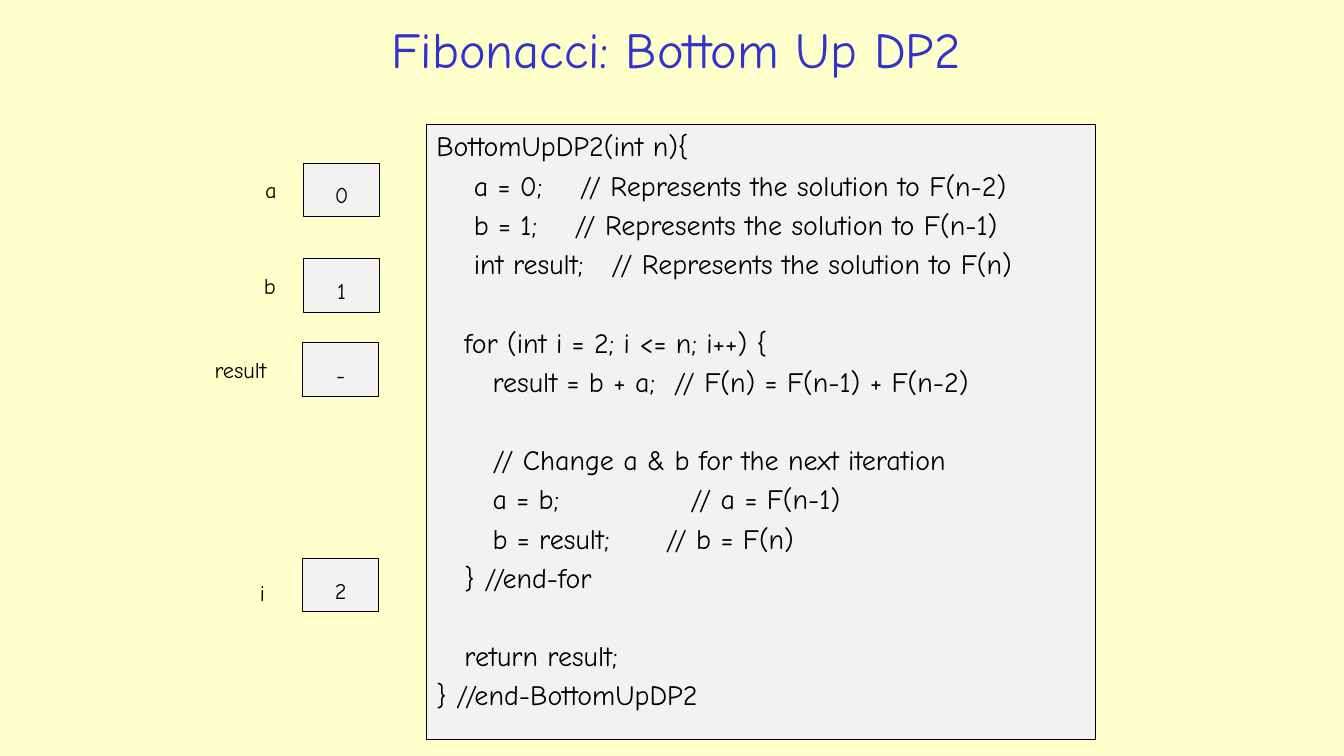
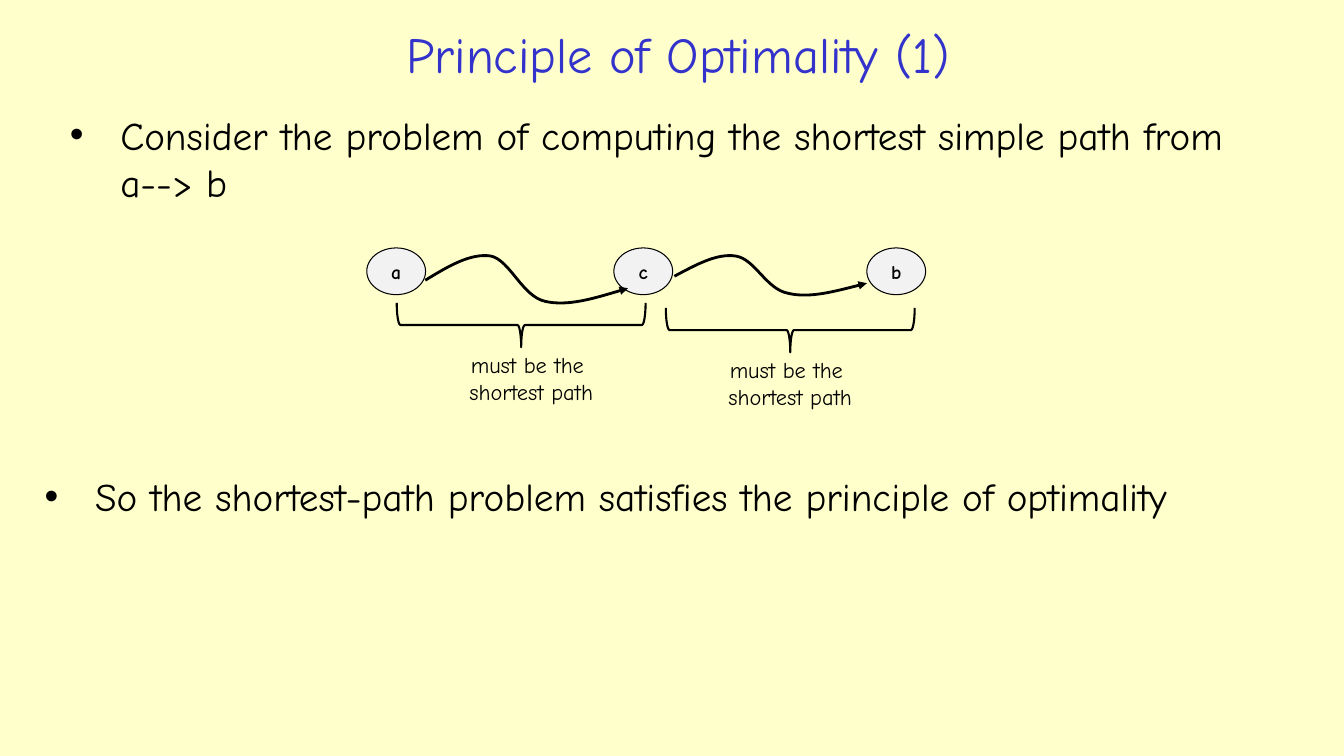
from pptx import Presentation
from pptx.dml.color import RGBColor
from pptx.enum.shapes import MSO_SHAPE as Shape
from pptx.enum.text import MSO_ANCHOR as Anchor, MSO_AUTO_SIZE as AutoSize, PP_ALIGN as Align
from pptx.oxml import parse_xml
from pptx.oxml.ns import nsdecls, qn
from pptx.util import Pt

CREAM = RGBColor(0xFF, 0xFF, 0xCC)
BLUE = RGBColor(0x33, 0x33, 0xCC)
BLACK = RGBColor(0, 0, 0)
GREY = RGBColor(0xF2, 0xF2, 0xF2)

TITLE = {"size": Pt(36), "color": BLUE, "para": {"alignment": Align.CENTER},
         "frame": {"vertical_anchor": Anchor.MIDDLE, "auto_size": AutoSize.NONE}}
BULLET = {"size": Pt(28), "frame": {"vertical_anchor": Anchor.TOP, "auto_size": AutoSize.NONE},
          "para": {"space_before": Pt(0)}}
CODE = {"size": Pt(20), "frame": {"vertical_anchor": Anchor.TOP, "word_wrap": True},
        "para": {"alignment": Align.LEFT}}
VALUE = {"size": Pt(16), "frame": {"vertical_anchor": Anchor.TOP},
         "para": {"alignment": Align.CENTER, "line_spacing": 1.5}}
NODE = {"size": Pt(14), "bold": True, "frame": {"vertical_anchor": Anchor.TOP},
        "para": {"alignment": Align.CENTER}}
LABEL = {"size": Pt(16), "frame": {"word_wrap": False, "auto_size": AutoSize.SHAPE_TO_FIT_TEXT}}
CAPTION = {**LABEL, "para": {"alignment": Align.CENTER}}


def write(box, lines, style):
    frame = box.text_frame
    for name, value in style["frame"].items():
        setattr(frame, name, value)
    for index, line in enumerate(lines):
        para = frame.paragraphs[0] if index == 0 else frame.add_paragraph()
        for name, value in style.get("para", {}).items():
            setattr(para, name, value)
        span = para.add_run()
        span.text = line
        font = {"name": "Comic Neue", "size": style["size"], "bold": style.get("bold", False)}
        for name, value in font.items():
            setattr(span.font, name, value)
        span.font.color.rgb = style.get("color", BLACK)


def outline(shape, width, fill=None):
    shape.shadow.inherit = False
    if fill is None:
        shape.fill.background()
    else:
        shape.fill.solid()
        shape.fill.fore_color.rgb = fill
    shape.line.color.rgb = BLACK
    shape.line.width = Pt(width)


deck = Presentation()
deck.slide_width, deck.slide_height = Pt(960), Pt(540)
background = deck.slide_master.background.fill
background.solid()
background.fore_color.rgb = CREAM

pages = []
for layout, heading, left, top, width in [
    (5, "Fibonacci: Bottom Up DP2", 139.5, 7, 687),
    (3, "Principle of Optimality (1)", 120, 11, 729),
]:
    page = deck.slides.add_slide(deck.slide_layouts[layout])
    title = page.shapes.title
    title.left, title.top, title.width, title.height = Pt(left), Pt(top), Pt(width), Pt(54.7)
    write(title, [heading], TITLE)
    pages.append(page)
code_page, path_page = pages

for name, value, label_left, label_top, label_width, box_left, box_top in [
    ("a", "0", 182.2, 122.4, 23, 216.7, 116.6),
    ("b", "1", 181.4, 190.8, 24.5, 216.7, 185),
    ("result", "-", 146.2, 250.6, 59.8, 216, 244.8),
    ("i", "2", 178.6, 410.4, 18.7, 216, 398.9),
]:
    box = code_page.shapes.add_shape(Shape.RECTANGLE, Pt(box_left), Pt(box_top), Pt(54.7), Pt(38.2))
    outline(box, 0.75, GREY)
    write(box, [value], VALUE)
    label = code_page.shapes.add_textbox(Pt(label_left), Pt(label_top), Pt(label_width), Pt(26.6))
    write(label, [name], LABEL)

code_blocks = [
    ["BottomUpDP2(int n){",
     "    a = 0;    // Represents the solution to F(n-2)",
     "    b = 1;    // Represents the solution to F(n-1)",
     "    int result;   // Represents the solution to F(n)"],
    ["   for (int i = 2; i <= n; i++) {",
     "      result = b + a;  // F(n) = F(n-1) + F(n-2)"],
    ["      // Change a & b for the next iteration",
     "      a = b;              // a = F(n-1)",
     "      b = result;      // b = F(n)",
     "   } //end-for"],
    ["   return result;",
     "} //end-BottomUpDP2"],
]
code_box = code_page.shapes.add_shape(Shape.RECTANGLE, Pt(304.6), Pt(88.6), Pt(478), Pt(440))
outline(code_box, 0.75, GREY)
write(code_box, [line for block in code_blocks for line in block], CODE)
gaps = [32 if index == 0 else 4 for block in code_blocks for index in range(len(block))]
gaps[0] = 0
for para, gap in zip(code_box.text_frame.paragraphs, gaps):
    para.space_before = Pt(gap)

for index, left, top, width, text in [
    (1, 38.2, 75.6, 888.5, "Consider the problem of computing the shortest simple path from a--> b"),
    (2, 20.2, 334, 922.3, "So the shortest-path problem satisfies the principle of optimality"),
]:
    body = path_page.placeholders[index]
    body.left, body.top, body.width, body.height = Pt(left), Pt(top), Pt(width), Pt(82.8)
    write(body, [text], BULLET)
    properties = body.text_frame.paragraphs[0]._p.get_or_add_pPr()
    properties.set("marL", str(Pt(40.5)))
    properties.set("indent", str(Pt(-36)))

for name, left in [("a", 262), ("c", 438.5), ("b", 619.2)]:
    node = path_page.shapes.add_shape(Shape.OVAL, Pt(left), Pt(177.1), Pt(42), Pt(33.4))
    outline(node, 0.75, GREY)
    write(node, [name], NODE)

for start, *points in [
    [(303.8, 200.2), (320.4, 190.1), (336.2, 180.7), (350.6, 182.9), (364.3, 185.8), (373, 211.7),
     (389.5, 215.3), (405.4, 218.9), (427, 212.4), (448.6, 205.9)],
    [(481.7, 197.3), (496.8, 189.4), (511.9, 180.7), (525.6, 182.9), (539.3, 185), (547.2, 206.6),
     (563, 209.5), (578.2, 213.1), (599, 207.4), (619.2, 202.3)],
]:
    builder = path_page.shapes.build_freeform(Pt(start[0]), Pt(start[1]))
    builder.add_line_segments([(Pt(x), Pt(y)) for x, y in points], close=False)
    curve = builder.convert_to_shape()
    outline(curve, 2)
    steps = list(curve._element.iter(qn("a:lnTo")))
    for segments in zip(steps[::3], steps[1::3], steps[2::3]):
        bend = parse_xml(f"<a:cubicBezTo {nsdecls('a')}/>")
        segments[0].addprevious(bend)
        for segment in segments:
            bend.append(segment[0])
            segment.getparent().remove(segment)
    curve._element.spPr.find(qn("a:ln")).append(
        parse_xml(f"<a:tailEnd {nsdecls('a')} type='triangle'/>"))

for brace_left, brace_top, caption_left, caption_top in [
    (356.4, 143.3, 320.4, 247),
    (548.6, 146.9, 505.4, 250.6),
]:
    brace = path_page.shapes.add_shape(Shape.RIGHT_BRACE, Pt(brace_left), Pt(brace_top), Pt(31.7), Pt(177.8))
    brace.rotation = 90
    outline(brace, 1.5)
    caption = path_page.shapes.add_textbox(Pt(caption_left), Pt(caption_top), Pt(118), Pt(46))
    write(caption, ["must be the ", "shortest path"], CAPTION)

deck.save("out.pptx")
